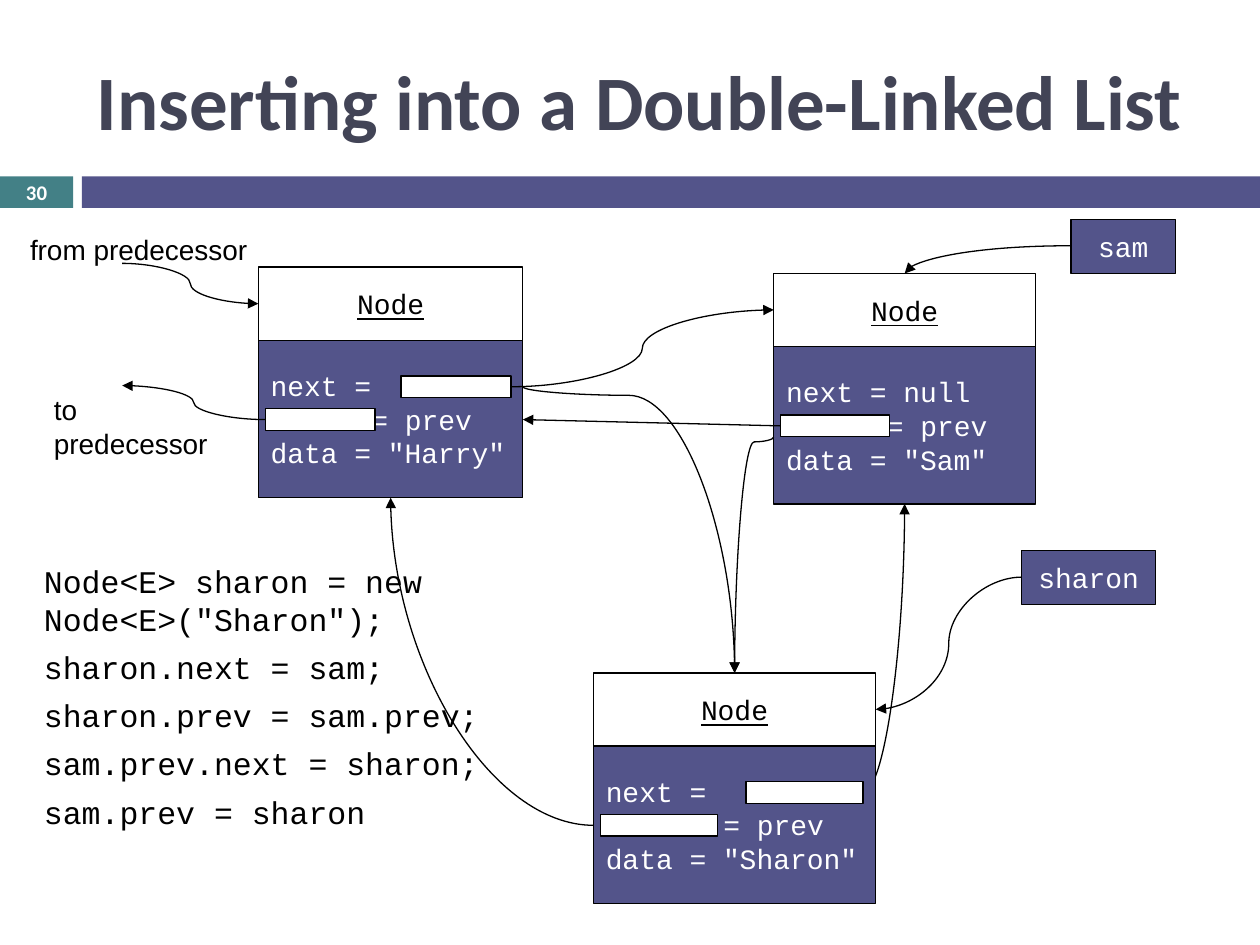
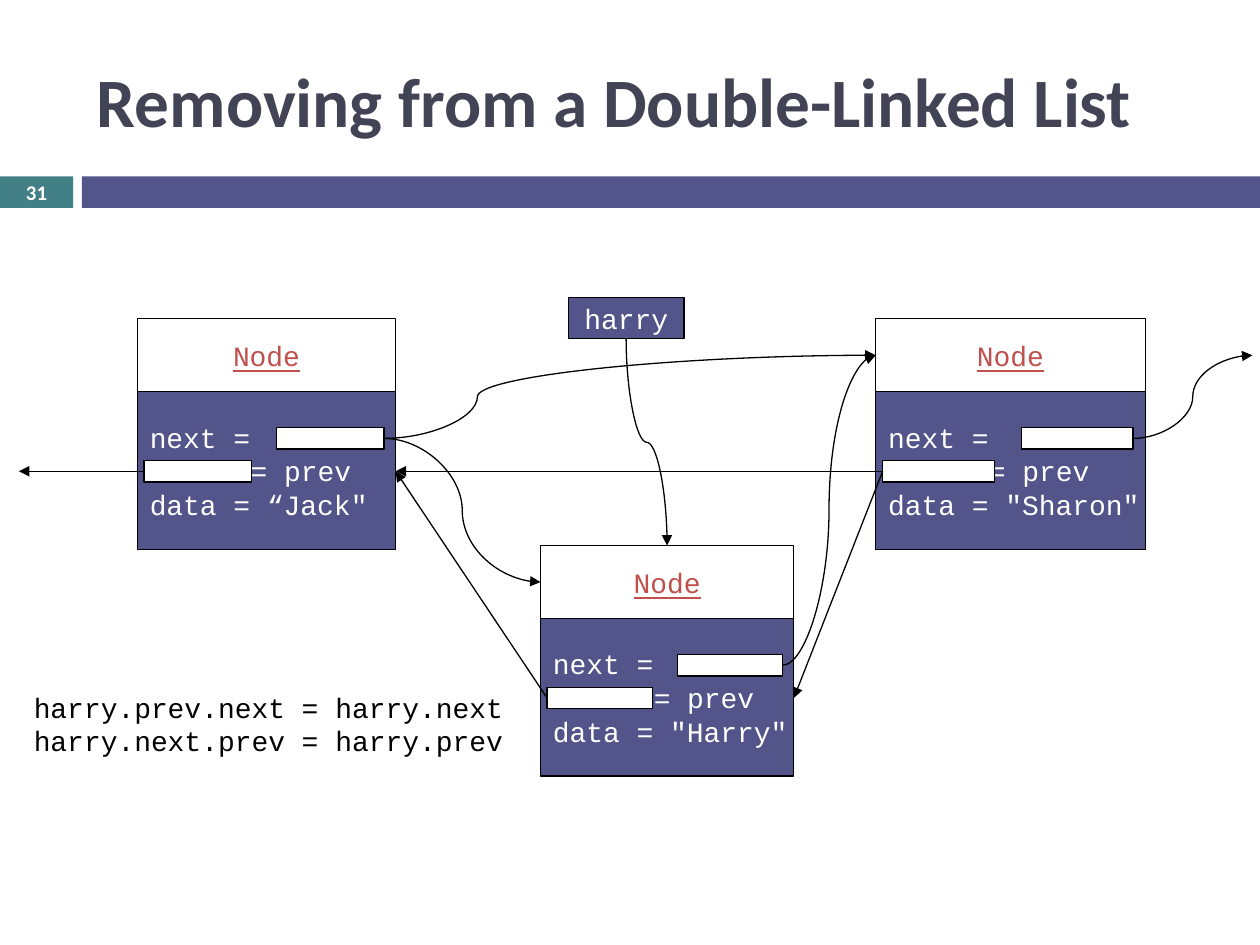
from dataclasses import dataclass

from lxml import etree
from pptx import Presentation
from pptx import util as u
from pptx.dml.color import RGBColor
from pptx.enum import shapes, text
from pptx.oxml.ns import qn

INDIGO, TEAL, SLATE = "53548A", "438086", "424456"
BLACK, WHITE, RED = "000000", "FFFFFF", "C0504D"
MONO, SANS, HEADING = "Courier New", "Arial", "Calibri"
HEADER_HEIGHT, BODY_HEIGHT = 0.58, 1.25
NEXT_ROW, PREV_ROW = 0.95, 1.21  # centres of the link rows, below a node's top
SLOT_HEIGHT = 0.17
CHARACTER_WIDTH = 16 * 0.6 / 72  # Courier New at 16 points


def color(value):
    return RGBColor.from_string(value)


def write(shape, lines, size, font, ink, align=text.PP_ALIGN.LEFT, wrap=False,
          anchor=text.MSO_ANCHOR.MIDDLE, bold=False, underline=False, after=0):
    """Fill the shape with one paragraph per line and return the paragraphs."""
    frame = shape.text_frame
    frame.word_wrap = wrap
    frame.vertical_anchor = anchor
    for index, line in enumerate(lines):
        para = frame.paragraphs[0] if index == 0 else frame.add_paragraph()
        para.alignment = align
        para.space_after = u.Pt(after)
        span = para.add_run()
        span.text = line
        span.font.size = u.Pt(size)
        span.font.name = font
        span.font.bold = bold
        span.font.underline = underline
        span.font.color.rgb = color(ink)
    return frame.paragraphs


def add_box(page, left, top, width, height, fill=None, outline=True):
    box = page.shapes.add_shape(shapes.MSO_SHAPE.RECTANGLE, u.Inches(left), u.Inches(top),
                                u.Inches(width), u.Inches(height))
    box.shadow.inherit = False
    if fill:
        box.fill.solid()
        box.fill.fore_color.rgb = color(fill)
    else:
        box.fill.background()
    if outline:
        box.line.color.rgb = color(BLACK)
        box.line.width = u.Pt(0.75)
    else:
        box.line.fill.background()
    return box


def add_text(page, left, top, width, height, lines, size, font, ink=BLACK, **style):
    box = page.shapes.add_textbox(u.Inches(left), u.Inches(top),
                                  u.Inches(width), u.Inches(height))
    write(box, lines, size, font, ink, **style)
    return box


def add_label(page, left, top, width, height, caption):
    box = add_text(page, left, top, width, height, [caption], 16, SANS,
                   wrap=True, anchor=text.MSO_ANCHOR.TOP)
    box.text_frame.auto_size = text.MSO_AUTO_SIZE.SHAPE_TO_FIT_TEXT


def add_variable(page, left, top, width, height, name):
    box = add_box(page, left, top, width, height, INDIGO)
    write(box, [name], 16, MONO, WHITE, align=text.PP_ALIGN.CENTER)


@dataclass
class Node:
    """A list node; its link ends are points that arrows start from or reach."""
    left: float
    top: float
    width: float
    data: str
    name_color: str = BLACK
    next_value: str = ""
    indent: int = 6

    def across(self, share):
        return self.left + share * self.width

    def at_left(self, row):
        return self.left, self.top + row

    def at_right(self, row):
        return self.left + self.width, self.top + row

    @property
    def next_end(self):
        return self.across(0.955), self.top + NEXT_ROW

    @property
    def prev_end(self):
        return self.across(0.026), self.top + PREV_ROW

    @property
    def head(self):
        return self.at_left(HEADER_HEIGHT / 2)

    @property
    def top_middle(self):
        return self.across(0.5), self.top

    @property
    def bottom_middle(self):
        return self.across(0.5), self.top + HEADER_HEIGHT + BODY_HEIGHT

    def add_slot(self, page, share, row):
        add_box(page, self.across(share), self.top + row - SLOT_HEIGHT / 2,
                0.415 * self.width, SLOT_HEIGHT, WHITE)

    def draw(self, page):
        body = add_box(page, self.left, self.top + HEADER_HEIGHT, self.width, BODY_HEIGHT, INDIGO)
        lines = [f"next = {self.next_value}".strip(), "= prev", f"data = {self.data}"]
        paras = write(body, lines, 16, MONO, WHITE)
        margin = u.Inches(self.indent * CHARACTER_WIDTH)
        paras[1]._p.get_or_add_pPr().set("marL", str(margin))
        header = add_box(page, self.left, self.top, self.width, HEADER_HEIGHT)
        write(header, ["Node"], 16, MONO, self.name_color,
              align=text.PP_ALIGN.CENTER, underline=True)
        if not self.next_value:
            self.add_slot(page, 0.54, NEXT_ROW)
        self.add_slot(page, 0.026, PREV_ROW)


def finish_arrow(arrow):
    arrow.line.color.rgb = color(BLACK)
    arrow.line.width = u.Pt(0.75)
    etree.SubElement(arrow.line._get_or_add_ln(), qn("a:tailEnd"), type="triangle")
    etree.SubElement(arrow._element.spPr, qn("a:effectLst"))


def add_arrow(page, start, end):
    points = [u.Inches(value) for value in (*start, *end)]
    finish_arrow(page.shapes.add_connector(shapes.MSO_CONNECTOR.STRAIGHT, *points))


def add_curve(page, start, end, bend=0.5, down=False, quarter=False):
    """Curve leaving sideways, or downwards; a quarter curve turns only once."""
    dx, dy = end[0] - start[0], end[1] - start[1]
    width, height = (abs(dy), abs(dx)) if down else (abs(dx), abs(dy))
    left = (start[0] + end[0] - width) / 2
    top = (start[1] + end[1] - height) / 2
    points = [u.Inches(value) for value in (left, top, left + width, top + height)]
    arrow = page.shapes.add_connector(shapes.MSO_CONNECTOR.CURVE, *points)
    properties = arrow._element.spPr
    if down:
        turn, flip = (90, None) if dx < 0 else (270, "flipH")
    else:
        turn = 180 if dx < 0 else 0
        flip = "flipV" if (dx > 0) != (dy > 0) else None
    frame = properties.find(qn("a:xfrm"))
    if turn:
        frame.set("rot", str(turn * 60000))
    if flip:
        frame.set(flip, "1")
    geometry = properties.find(qn("a:prstGeom"))
    if quarter:
        geometry.set("prst", "curvedConnector2")
    else:
        guides = geometry.find(qn("a:avLst"))
        etree.SubElement(guides, qn("a:gd"), name="adj1", fmla=f"val {round(bend * 100000)}")
    finish_arrow(arrow)


def add_page(deck, title, title_size, number):
    """Blank page with the shared title, band and page number."""
    page = deck.slides.add_slide(deck.slide_layouts[6])
    add_box(page, 0, 1.4, 0.58, 0.25, TEAL, outline=False)
    add_box(page, 0.65, 1.4, 9.35, 0.25, INDIGO, outline=False)
    add_text(page, 0.67, 0.25, 8.92, 1.08, [title], title_size, HEADING, SLATE,
             wrap=True, bold=True)
    add_text(page, 0, 1.39, 0.58, 0.27, [number], 11.9, HEADING, WHITE,
             align=text.PP_ALIGN.CENTER, wrap=True, bold=True)
    return page


def build_inserting(deck):
    page = add_page(deck, "Inserting into a Double-Linked List", 44, "30")
    harry = Node(2.05, 2.12, 2.1, '"Harry"')
    sam = Node(6.14, 2.17, 2.08, '"Sam"', next_value="null")
    sharon = Node(4.71, 5.34, 2.24, '"Sharon"', indent=7)

    harry.draw(page)
    add_curve(page, harry.next_end, sam.head)
    sam.draw(page)
    add_arrow(page, sam.prev_end, harry.at_right(PREV_ROW))
    add_curve(page, sharon.at_left(PREV_ROW), harry.bottom_middle, quarter=True)
    add_curve(page, sharon.next_end, sam.bottom_middle, quarter=True)
    add_curve(page, sam.at_left(1.3), sharon.top_middle, bend=0.02, down=True)
    add_curve(page, harry.at_right(NEXT_ROW), sharon.top_middle, bend=0.03, down=True)

    add_text(page, 0.25, 4.42, 4.05, 2.21,
             ['Node<E> sharon = new Node<E>("Sharon");', "sharon.next = sam;",
              "sharon.prev = sam.prev;", "sam.prev.next = sharon;", "sam.prev = sharon"],
             18, MONO, after=6)
    add_curve(page, harry.prev_end, (0.97, 3.06))
    add_curve(page, (0.97, 2.09), harry.head)
    add_label(page, 0.14, 1.8, 2.5, 0.37, "from predecessor")
    add_label(page, 0.33, 3.07, 1.56, 0.64, "to predecessor")

    add_variable(page, 8.5, 1.74, 0.83, 0.43, "sam")
    add_curve(page, (8.5, 1.95), sam.top_middle, quarter=True)
    add_variable(page, 8.11, 4.37, 1.06, 0.43, "sharon")
    add_curve(page, (8.11, 4.58), sharon.at_right(HEADER_HEIGHT / 2))
    sharon.draw(page)


def build_removing(deck):
    page = add_page(deck, "Removing from a Double-Linked List", 39.6, "31")
    jack = Node(1.09, 2.53, 2.05, '“Jack"', RED)
    harry = Node(4.29, 4.33, 2.01, '"Harry"', RED)
    sharon = Node(6.95, 2.53, 2.14, '"Sharon"', RED)
    for node in (jack, harry, sharon):
        node.draw(page)

    add_curve(page, jack.next_end, harry.head)
    add_curve(page, harry.next_end, sharon.head)
    add_arrow(page, harry.prev_end, jack.at_right(PREV_ROW))
    add_arrow(page, sharon.prev_end, harry.at_right(PREV_ROW))
    add_variable(page, 4.51, 2.36, 0.92, 0.33, "harry")
    add_curve(page, (4.97, 2.69), harry.top_middle, down=True)

    add_text(page, 0.17, 4.83, 4.8, 1.83,
             ["harry.prev.next = harry.next", "harry.next.prev = harry.prev"], 16, MONO)
    add_curve(page, sharon.next_end, (9.94, 2.82))
    add_arrow(page, jack.prev_end, (0.15, jack.top + PREV_ROW))
    add_curve(page, jack.next_end, sharon.head, bend=0.19)
    add_arrow(page, sharon.prev_end, jack.at_right(PREV_ROW))


def main():
    deck = Presentation()
    deck.slide_width, deck.slide_height = u.Inches(10), u.Inches(7.5)
    build_inserting(deck)
    build_removing(deck)
    deck.save("out.pptx")


if __name__ == "__main__":
    main()
